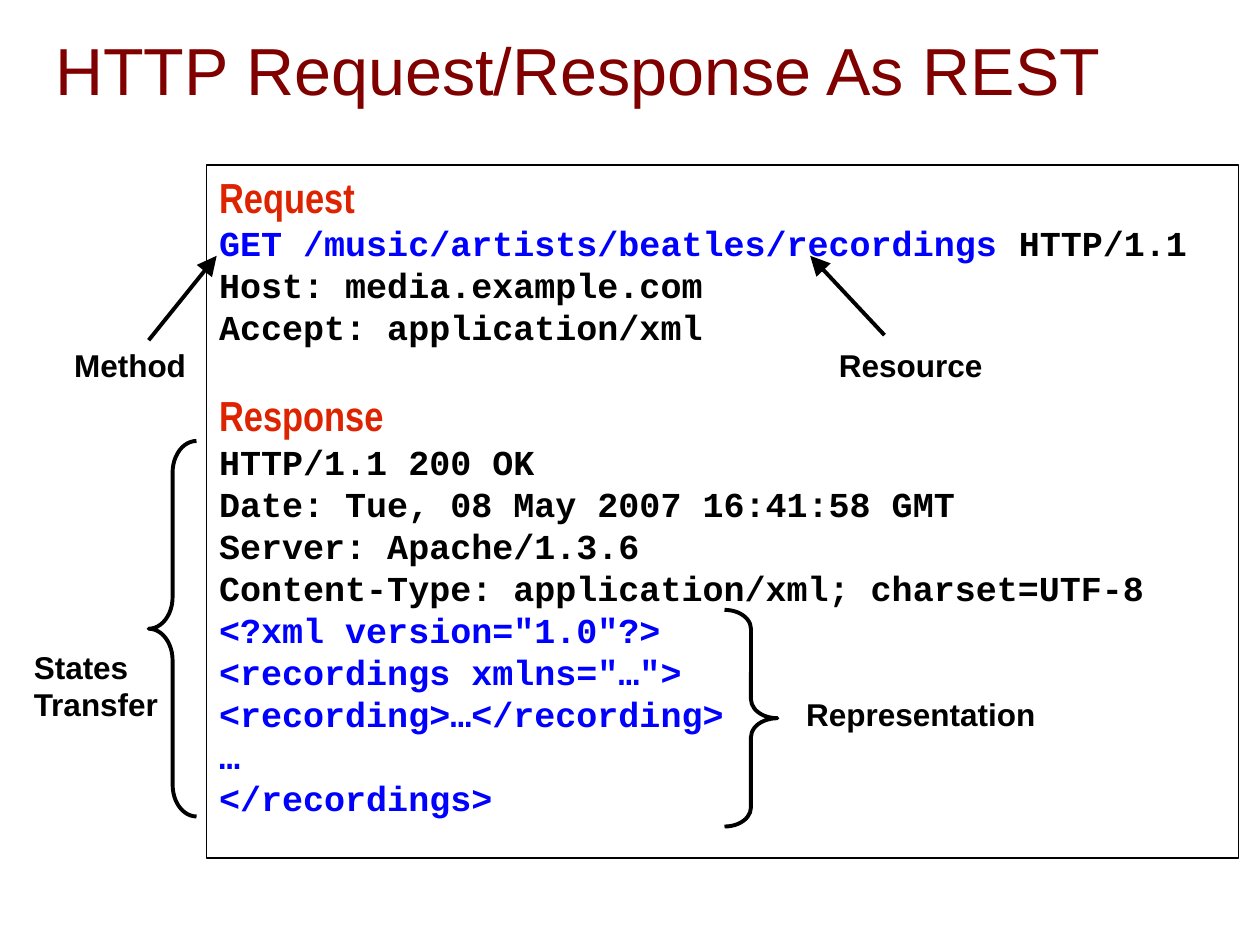
"""Build a slide that reads an HTTP exchange in REST terms."""
from dataclasses import dataclass

from lxml import etree
from pptx import Presentation
from pptx.dml.color import RGBColor
from pptx.enum.shapes import MSO_CONNECTOR, MSO_SHAPE
from pptx.enum.text import MSO_ANCHOR, PP_ALIGN
from pptx.oxml.ns import qn
from pptx.util import Inches, Pt

STRAIGHT = MSO_CONNECTOR.STRAIGHT
RECTANGLE = MSO_SHAPE.RECTANGLE
LEFT_BRACE = MSO_SHAPE.LEFT_BRACE
RIGHT_BRACE = MSO_SHAPE.RIGHT_BRACE
TOP = MSO_ANCHOR.TOP
MIDDLE = MSO_ANCHOR.MIDDLE
LEFT = PP_ALIGN.LEFT


@dataclass(frozen=True)
class Style:
    font: str
    size: int
    color: str
    bold: bool = True


@dataclass(frozen=True)
class Theme:
    title: Style = Style("Arial", 38, "800000", False)
    heading: Style = Style("Arial Narrow", 24, "DD2300")
    code: Style = Style("Courier New", 20, "000000")
    accent: Style = Style("Courier New", 20, "0000FF")
    label: Style = Style("Arial", 18, "000000")
    line: str = "000000"
    border_width: float = 0.75
    mark_width: float = 2.25
    section_gap: int = 24


THEME = Theme()


@dataclass(frozen=True)
class Box:
    left: float
    top: float
    width: float
    height: float

    def lengths(self) -> tuple:
        return tuple(Inches(v) for v in (self.left, self.top, self.width, self.height))


@dataclass(frozen=True)
class Span:
    text: str
    style: Style


@dataclass(frozen=True)
class Label:
    text: str
    box: Box


@dataclass(frozen=True)
class Arrow:
    start: tuple[float, float]
    end: tuple[float, float]


@dataclass(frozen=True)
class Brace:
    kind: int
    box: Box
    curl: float


def lines(style: Style, *texts: str) -> list[list[Span]]:
    return [[Span(text, style)] for text in texts]


REQUEST = [
    *lines(THEME.heading, "Request"),
    [Span("GET /music/artists/beatles/recordings ", THEME.accent), Span("HTTP/1.1", THEME.code)],
    *lines(THEME.code, "Host: media.example.com", "Accept: application/xml"),
]
RESPONSE = [
    *lines(THEME.heading, "Response"),
    *lines(
        THEME.code,
        "HTTP/1.1 200 OK",
        "Date: Tue, 08 May 2007 16:41:58 GMT",
        "Server: Apache/1.3.6",
        "Content-Type: application/xml; charset=UTF-8",
    ),
    *lines(
        THEME.accent,
        '<?xml version="1.0"?>',
        '<recordings xmlns="…">',
        "<recording>…</recording>",
        "…",
        "</recordings>",
    ),
]
TITLE = Label("HTTP Request/Response As REST", Box(0.34, 0.18, 9.42, 0.74))
EXCHANGE = Box(1.64, 1.31, 8.19, 5.5)
ARROWS = [Arrow((1.18, 2.7), (1.72, 2.03)), Arrow((7.02, 2.66), (6.43, 2.03))]
BRACES = [
    Brace(LEFT_BRACE, Box(1.18, 3.5, 0.38, 2.98), 0.66),
    Brace(RIGHT_BRACE, Box(5.75, 4.84, 0.42, 1.72), 0.36),
]
LABELS = [
    Label("Method", Box(0.49, 2.7, 1.09, 0.4)),
    Label("Resource", Box(6.56, 2.7, 1.34, 0.4)),
    Label("States\nTransfer", Box(0.17, 5.09, 1.2, 0.7)),
    Label("Representation", Box(6.3, 5.47, 2.02, 0.4)),
]


def apply_style(font, style: Style) -> None:
    font.name = style.font
    font.size = Pt(style.size)
    font.bold = style.bold
    font.color.rgb = RGBColor.from_string(style.color)


def set_line(line, width: float) -> None:
    line.color.rgb = RGBColor.from_string(THEME.line)
    line.width = Pt(width)


def add_label(page, label: Label, style: Style, anchor=TOP, wrap: bool = False) -> None:
    frame = page.shapes.add_textbox(*label.box.lengths()).text_frame
    frame.text = label.text
    frame.word_wrap = wrap
    frame.vertical_anchor = anchor
    for para in frame.paragraphs:
        for run in para.runs:
            apply_style(run.font, style)


def add_outline(page, kind, box: Box, width: float):
    shape = page.shapes.add_shape(kind, *box.lengths())
    shape.shadow.inherit = False
    shape.fill.background()
    set_line(shape.line, width)
    return shape


def add_exchange(page, sections: list[list[list[Span]]]) -> None:
    frame = add_outline(page, RECTANGLE, EXCHANGE, THEME.border_width).text_frame
    frame.word_wrap = True
    frame.vertical_anchor = TOP
    rows = [row for section in sections for row in section]
    frame.text = "\n".join("".join(span.text for span in row) for row in rows)
    for para, row in zip(frame.paragraphs, rows):
        para.alignment = LEFT
        para.runs[0].text = row[0].text
        for span in row[1:]:
            para.add_run().text = span.text
        for run, span in zip(para.runs, row):
            apply_style(run.font, span.style)
    for index in range(1, len(sections)):
        first = sum(len(section) for section in sections[:index])
        frame.paragraphs[first].space_before = Pt(THEME.section_gap)


def add_arrow(page, arrow: Arrow) -> None:
    points = [Inches(v) for v in (*arrow.start, *arrow.end)]
    connector = page.shapes.add_connector(STRAIGHT, *points)
    set_line(connector.line, THEME.mark_width)
    properties = connector.element.spPr
    outline = properties.find(qn("a:ln"))
    etree.SubElement(outline, qn("a:tailEnd"), type="triangle", w="lg", len="lg")
    etree.SubElement(properties, qn("a:effectLst"))


def add_brace(page, brace: Brace) -> None:
    shape = add_outline(page, brace.kind, brace.box, THEME.mark_width)
    shape.adjustments[0] = brace.curl


def main() -> None:
    deck = Presentation()
    deck.slide_width, deck.slide_height = Inches(10), Inches(7.5)
    page = deck.slides.add_slide(deck.slide_layouts[6])
    add_label(page, TITLE, THEME.title, MIDDLE, True)
    add_exchange(page, [REQUEST, RESPONSE])
    for arrow in ARROWS:
        add_arrow(page, arrow)
    for brace in BRACES:
        add_brace(page, brace)
    for label in LABELS:
        add_label(page, label, THEME.label)
    deck.save("out.pptx")


if __name__ == "__main__":
    main()
